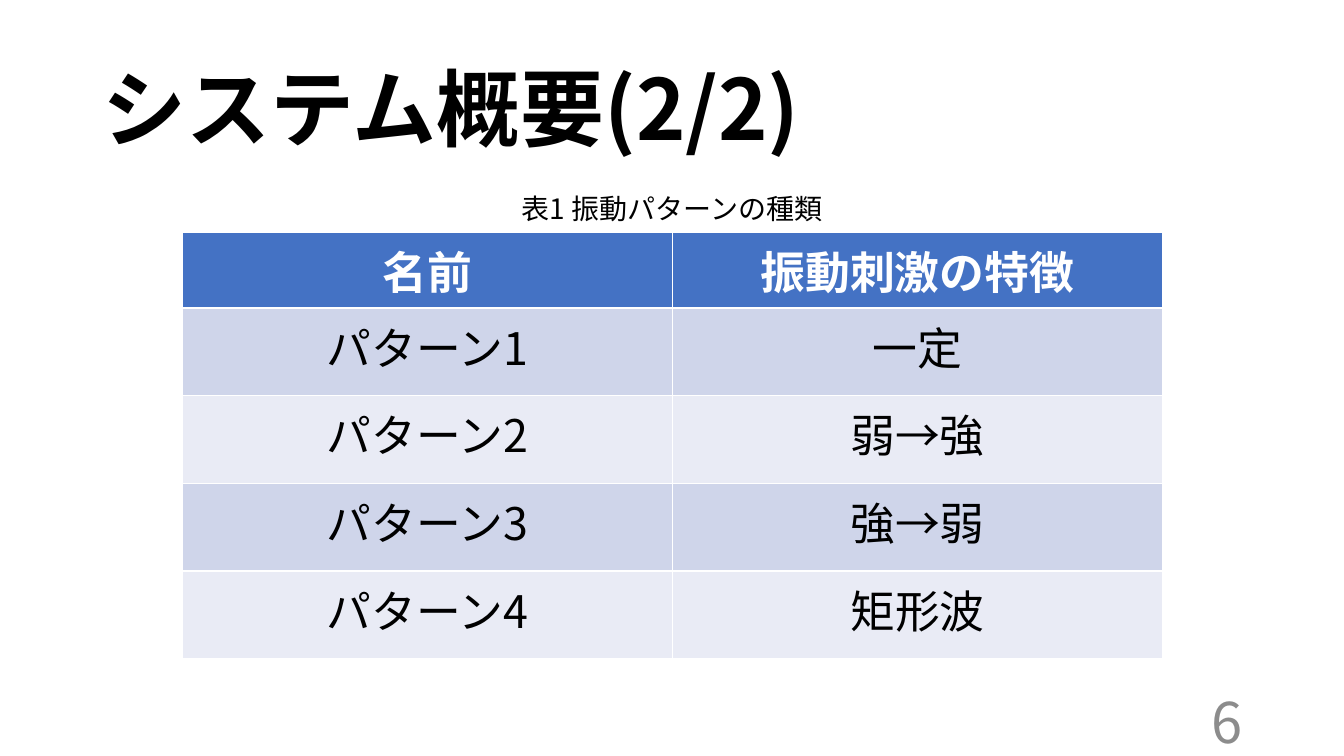
"""Build the system overview slide with its table of vibration patterns."""
from dataclasses import dataclass

from lxml.etree import SubElement
from pptx import Presentation
from pptx.dml.color import RGBColor
from pptx.enum.text import MSO_ANCHOR as Anchor, MSO_AUTO_SIZE as AutoSize, PP_ALIGN as Align
from pptx.oxml.ns import qn
from pptx.slide import Slide
from pptx.text.text import TextFrame
from pptx.util import Inches, Pt

FONT = "Noto Sans CJK JP"
BLACK = RGBColor(0x00, 0x00, 0x00)
WHITE = RGBColor(0xFF, 0xFF, 0xFF)
GRAY = RGBColor(0x8C, 0x8C, 0x8C)
HEADER_BLUE = RGBColor(0x44, 0x72, 0xC4)
BANDS = (RGBColor(0xE9, 0xEB, 0xF5), RGBColor(0xCF, 0xD5, 0xEA))

HEADER_HEIGHT, ROW_HEIGHT = 0.69, 0.87
PATTERNS = (
    ("名前", "振動刺激の特徴"),
    ("パターン1", "一定"),
    ("パターン2", "弱→強"),
    ("パターン3", "強→弱"),
    ("パターン4", "矩形波"),
)


@dataclass(frozen=True)
class TextStyle:
    size: int
    color: RGBColor = BLACK
    bold: bool = False
    align: Align = Align.CENTER


@dataclass(frozen=True)
class Label:
    text: str
    box: tuple[float, float, float, float]
    style: TextStyle
    anchor: Anchor


TITLE = Label("システム概要(2/2)", (0.92, 0.4, 11.5, 1.45),
              TextStyle(60, bold=True, align=Align.LEFT), Anchor.MIDDLE)
LABELS = (
    Label("6", (9.42, 6.95, 3, 0.4), TextStyle(40, GRAY, align=Align.RIGHT), Anchor.MIDDLE),
    Label("表1 振動パターンの種類", (4.85, 1.85, 3.63, 0.44), TextStyle(20), Anchor.TOP),
)


def write(tf: TextFrame, text: str, style: TextStyle) -> None:
    p = tf.paragraphs[0]
    p.text = text
    p.alignment = style.align
    p.font.size = Pt(style.size)
    p.font.bold = style.bold
    p.font.color.rgb = style.color
    p.font.name = FONT
    props = p._p.get_or_add_pPr().find(qn("a:defRPr"))
    SubElement(props, qn("a:ea")).set("typeface", FONT)


def add_title(s: Slide, label: Label) -> None:
    sp = s.shapes.title
    sp.left, sp.top, sp.width, sp.height = map(Inches, label.box)
    tf = sp.text_frame
    tf.auto_size = AutoSize.NONE
    tf.vertical_anchor = label.anchor
    write(tf, label.text, label.style)
    tf.paragraphs[0].line_spacing = 0.9


def add_label(s: Slide, label: Label) -> None:
    tf = s.shapes.add_textbox(*map(Inches, label.box)).text_frame
    tf.word_wrap = True
    tf.vertical_anchor = label.anchor
    write(tf, label.text, label.style)


def add_pattern_table(s: Slide) -> None:
    height = HEADER_HEIGHT + ROW_HEIGHT * (len(PATTERNS) - 1)
    table = s.shapes.add_table(len(PATTERNS), len(PATTERNS[0]), Inches(1.81), Inches(2.31),
                               Inches(9.72), Inches(height)).table
    for i, texts in enumerate(PATTERNS):
        is_header = i == 0
        table.rows[i].height = Inches(HEADER_HEIGHT if is_header else ROW_HEIGHT)
        style = TextStyle(32, WHITE if is_header else BLACK, bold=is_header)
        for j, text in enumerate(texts):
            cell = table.cell(i, j)
            cell.fill.solid()
            cell.fill.fore_color.rgb = HEADER_BLUE if is_header else BANDS[i % 2]
            write(cell.text_frame, text, style)


def main() -> None:
    prs = Presentation()
    prs.slide_width, prs.slide_height = Inches(13.33), Inches(7.5)
    s = prs.slides.add_slide(prs.slide_layouts[5])
    add_title(s, TITLE)
    add_pattern_table(s)
    for label in LABELS:
        add_label(s, label)
    prs.save("out.pptx")


if __name__ == "__main__":
    main()
